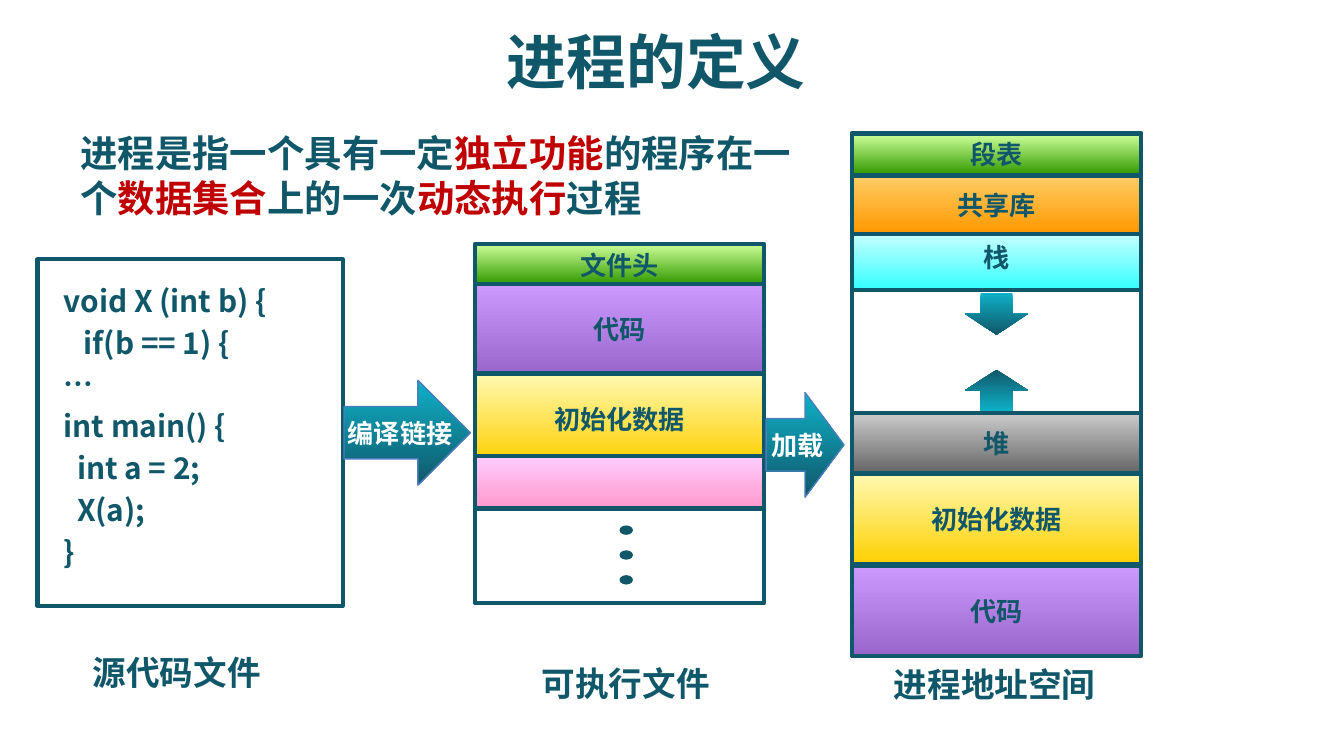
from dataclasses import dataclass
from typing import Optional

from pptx import Presentation
from pptx.dml.color import RGBColor
from pptx.enum.shapes import MSO_SHAPE
from pptx.enum.text import MSO_ANCHOR, PP_ALIGN
from pptx.oxml.ns import qn
from pptx.util import Inches, Pt

RECTANGLE = MSO_SHAPE.RECTANGLE
OVAL = MSO_SHAPE.OVAL
RIGHT_ARROW = MSO_SHAPE.RIGHT_ARROW
DOWN_ARROW = MSO_SHAPE.DOWN_ARROW
UP_ARROW = MSO_SHAPE.UP_ARROW
LEFT, CENTER = PP_ALIGN.LEFT, PP_ALIGN.CENTER
MIDDLE = MSO_ANCHOR.MIDDLE

FONT = "Noto Sans CJK SC"
GRID = Inches(0.1)
COLUMNS, ROWS = 100, 56.25
STACK_WIDTH = 21.5
COLORS = {"ink": "11576A", "accent": "C00000", "white": "FFFFFF", "edge": "4B7EBC"}
GRADIENTS = {
    "green": ("CCFF99", "339900"),
    "purple": ("CC99FF", "9966CC"),
    "yellow": ("FFF9B1", "FDD000"),
    "pink": ("FFCCFF", "FF99CC"),
    "orange": ("FFCC66", "FF9900"),
    "cyan": ("CCFFFF", "33FFFF"),
    "gray": ("CCCCCC", "666666"),
    "teal": ("0EB1C8", "11576A"),
    "teal_up": ("11576A", "0EB1C8"),
}


@dataclass(frozen=True)
class Area:
    column: float
    row: float
    columns: float
    rows: float

    def lengths(self) -> tuple[int, ...]:
        return tuple(round(n * GRID) for n in (self.column, self.row, self.columns, self.rows))


@dataclass(frozen=True)
class Span:
    text: str
    color: str = "ink"


@dataclass(frozen=True)
class Line:
    spans: tuple[Span, ...]
    indent: float = 0


@dataclass(frozen=True)
class Block:
    row: float
    rows: float
    gradient: Optional[str] = None
    label: str = ""
    lift: float = 0


@dataclass(frozen=True)
class Arrow:
    kind: int
    area: Area
    gradient: str = "teal"
    label: str = ""
    inset: float = 0


def rgb(name: str) -> RGBColor:
    return RGBColor.from_string(COLORS[name])


def write(frame, lines: list[Line], size: float, align=CENTER,
          wrap: bool = False, pitch: Optional[float] = None) -> None:
    frame.word_wrap = wrap
    frame.vertical_anchor = MIDDLE
    for index, line in enumerate(lines):
        para = frame.paragraphs[0] if index == 0 else frame.add_paragraph()
        para.alignment = align
        if pitch:
            para.line_spacing = Pt(pitch)
        if line.indent:
            para._p.get_or_add_pPr().set("marL", str(round(line.indent * GRID)))
        for part in line.spans:
            span = para.add_run()
            span.text = part.text
            span.font.size = Pt(size)
            span.font.bold = True
            span.font.name = FONT
            span.font.color.rgb = rgb(part.color)
            properties = span._r.get_or_add_rPr()
            east_asian = properties.makeelement(qn("a:ea"), {"typeface": FONT})
            properties.find(qn("a:latin")).addnext(east_asian)


def add_text(page, area: Area, lines: list[Line], size: float, **layout) -> None:
    box = page.shapes.add_textbox(*area.lengths())
    write(box.text_frame, lines, size, **layout)


def add_figure(page, kind, area: Area, gradient: Optional[str] = None,
               line: Optional[str] = None, weight: float = 2.25):
    figure = page.shapes.add_shape(kind, *area.lengths())
    figure.shadow.inherit = False
    if gradient:
        figure.fill.gradient()
        figure.fill.gradient_angle = 270
        for stop, color in zip(figure.fill.gradient_stops, GRADIENTS[gradient]):
            stop.color.rgb = RGBColor.from_string(color)
    else:
        figure.fill.background()
    if line:
        figure.line.color.rgb = rgb(line)
        figure.line.width = Pt(weight)
    else:
        figure.line.fill.background()
    return figure


def add_stack(page, column: float, blocks: list[Block]) -> None:
    for block in blocks:
        area = Area(column, block.row, STACK_WIDTH, block.rows)
        figure = add_figure(page, RECTANGLE, area, block.gradient, "ink")
        if block.label:
            frame = figure.text_frame
            frame.margin_top = 0
            frame.margin_bottom = round(2 * block.lift * GRID)
            write(frame, [Line((Span(block.label),))], 14)


def add_arrow(page, arrow: Arrow) -> None:
    edge = "edge" if arrow.label else None
    figure = add_figure(page, arrow.kind, arrow.area, arrow.gradient, edge, 0.75)
    if arrow.label:
        frame = figure.text_frame
        frame.margin_left, frame.margin_right = round(arrow.inset * GRID), 0
        write(frame, [Line((Span(arrow.label, "white"),))], 14)


DEFINITION = Line((
    Span("进程是指一个具有一定"), Span("独立功能", "accent"), Span("的程序在一个"),
    Span("数据集合", "accent"), Span("上的一次"), Span("动态执行", "accent"), Span("过程"),
))
CODE = [
    ("void X (int b) {", 0), ("if(b == 1) {", 1.5), ("…", 0), ("int main() {", 0),
    ("int a = 2;", 1), ("X(a);", 1), ("}", 0),
]
EXECUTABLE = [
    Block(21.15, 6.7, "purple", "代码"), Block(27.8, 6.7, "yellow", "初始化数据"),
    Block(18.15, 3, "green", "文件头", -0.1), Block(33.95, 3.9, "pink"), Block(37.8, 7.1),
]
ADDRESS_SPACE = [
    Block(9.9, 38.9), Block(42.1, 6.7, "purple", "代码"),
    Block(35.3, 6.7, "yellow", "初始化数据"), Block(30.7, 4.5, "gray", "堆"),
    Block(17.3, 4.3, "cyan", "栈", 0.3), Block(13.1, 4.3, "orange", "共享库"),
    Block(10, 3, "green", "段表"),
]
ARROWS = [
    Arrow(RIGHT_ARROW, Area(25.6, 28.3, 9.4, 7.8), label="编译链接", inset=0.9),
    Arrow(RIGHT_ARROW, Area(57, 29.2, 5.8, 7.8), label="加载", inset=0.4),
    Arrow(DOWN_ARROW, Area(71.8, 21.8, 4.7, 3.1)),
    Arrow(UP_ARROW, Area(71.8, 27.5, 4.7, 3.1), "teal_up"),
]
CAPTIONS = [
    ("源代码文件", Area(5.8, 48, 14.7, 4)),
    ("可执行文件", Area(39.2, 48.8, 14.7, 4)),
    ("进程地址空间", Area(65.4, 48.9, 17.2, 4)),
]


def main() -> None:
    deck = Presentation()
    deck.slide_width, deck.slide_height = round(COLUMNS * GRID), round(ROWS * GRID)
    page = deck.slides.add_slide(deck.slide_layouts[6])

    add_text(page, Area(36.5, 1.3, 24.7, 6.4), [Line((Span("进程的定义"),))], 32)
    add_text(page, Area(5, 9.2, 55, 7.7), [DEFINITION], 20, align=LEFT, wrap=True, pitch=24)

    add_figure(page, RECTANGLE, Area(2.8, 19.3, 22.7, 25.8), line="ink")
    code_lines = [Line((Span(text),), indent) for text, indent in CODE]
    add_text(page, Area(3.75, 19.9, 21.1, 23.1), code_lines, 16,
             align=LEFT, wrap=True, pitch=22.4)

    add_stack(page, 35.35, EXECUTABLE)
    add_stack(page, 63.4, ADDRESS_SPACE)
    for index in range(3):
        dot = add_figure(page, OVAL, Area(46.1, 39.1 + 1.85 * index, 1, 0.7))
        dot.fill.solid()
        dot.fill.fore_color.rgb = rgb("ink")

    for arrow in ARROWS:
        add_arrow(page, arrow)
    for text, area in CAPTIONS:
        add_text(page, area, [Line((Span(text),))], 18)

    deck.save("out.pptx")


if __name__ == "__main__":
    main()
